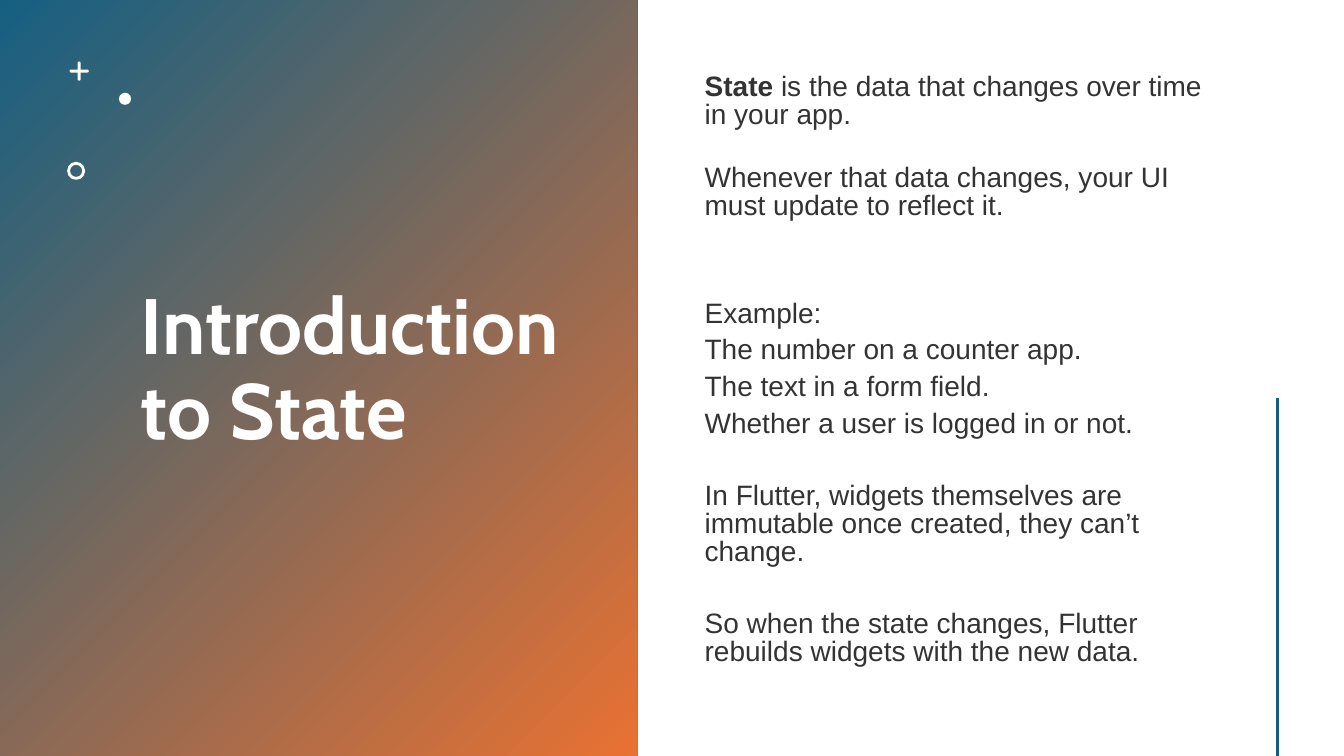
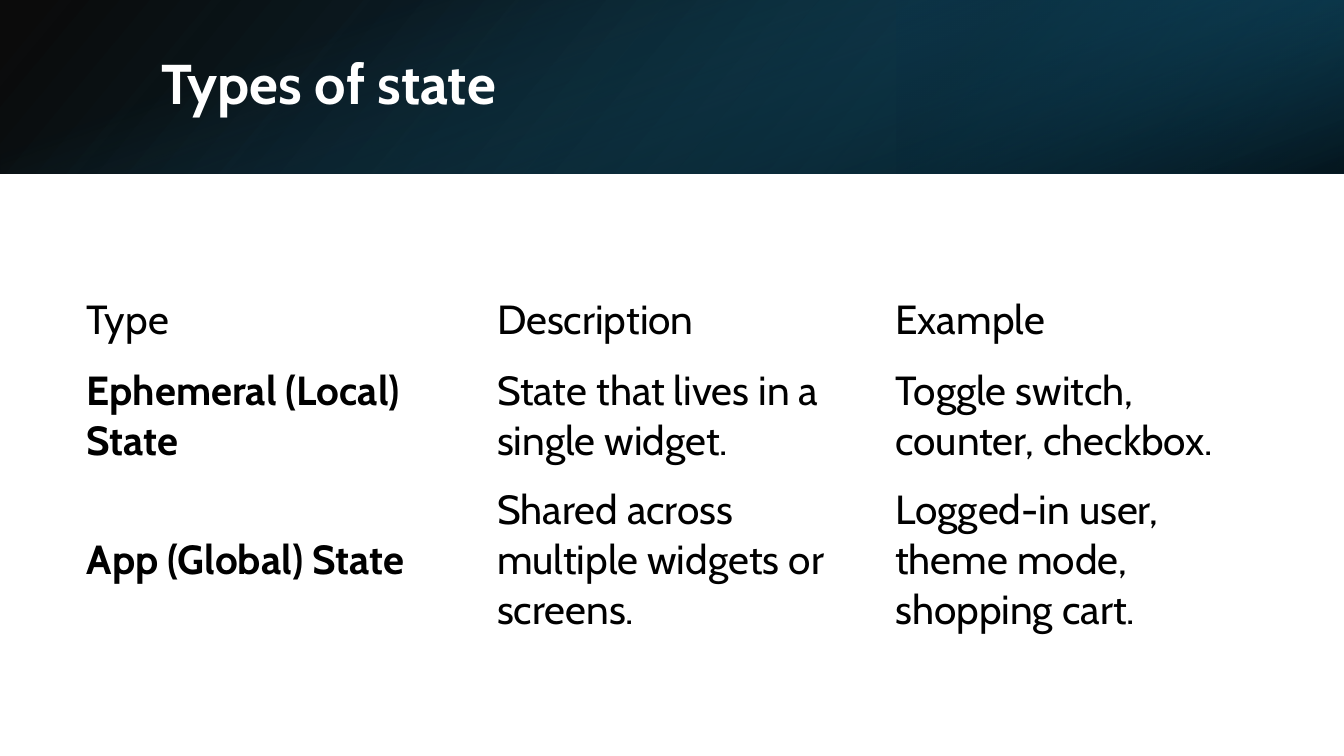
from dataclasses import dataclass

from lxml.etree import SubElement as Sub
from pptx import Presentation
from pptx.dml.color import RGBColor as Rgb
from pptx.enum.shapes import MSO_CONNECTOR as Link, MSO_SHAPE as Kind
from pptx.enum.text import MSO_ANCHOR as Anchor
from pptx.oxml.ns import qn
from pptx.util import Inches, Pt


@dataclass(frozen=True)
class Theme:
    """Colours, fonts and type sizes of the deck."""
    blue: str = "156082"
    orange: str = "E97132"
    deep: str = "104862"
    night: str = "0B3041"
    black: str = "000000"
    white: str = "FFFFFF"
    ink: str = "333333"
    head: str = "Cabin"
    text: str = "Arial"
    big: float = 56
    title: float = 40
    cell: float = 29
    body: float = 20


T = Theme()

POINTS = [
    (0, "State", " is the data that changes over time in your app."),
    (19, "", "Whenever that data changes, your UI must update to reflect it."),
    (50.6, "", "Example:"),
    (0, "", "The number on a counter app."),
    (0, "", "The text in a form field."),
    (0, "", "Whether a user is logged in or not."),
    (25.3, "", "In Flutter, widgets themselves are immutable once created, "
               "they can’t change."),
    (25.3, "", "So when the state changes, Flutter rebuilds widgets with "
               "the new data."),
]

ROWS = [
    ("Type", "Description", "Example"),
    ("Ephemeral (Local) State", "State that lives in a single widget.",
     "Toggle switch, counter, checkbox."),
    ("App (Global) State", "Shared across multiple widgets or screens.",
     "Logged-in user, theme mode, shopping cart."),
]


def tint(hue):
    """Turn a hex string into a colour."""
    return Rgb.from_string(hue)


def style(para, face, size, hue, bold=None):
    """Set the font of a paragraph."""
    font = para.font
    font.name, font.size, font.bold = face, Pt(size), bold
    font.color.rgb = tint(hue)


def shape(slide, kind, box, fill=None, line=None):
    """Add a preset shape with a plain fill or a plain outline."""
    item = slide.shapes.add_shape(kind, *map(Inches, box))
    item.shadow.inherit = False
    if fill:
        item.fill.solid()
        item.fill.fore_color.rgb = tint(fill)
    else:
        item.fill.background()
    if line:
        item.line.color.rgb = tint(line)
        item.line.width = Pt(2)
    else:
        item.line.fill.background()
    return item


def panel(slide, box, stops, angle, turn=0, flip=False):
    """Add a gradient panel from (position, colour, opacity) stops."""
    item = shape(slide, Kind.RECTANGLE, box)
    item.rotation = turn
    props = item.element.spPr
    if flip:
        props.find(qn("a:xfrm")).set("flipH", "1")
    grad = Sub(props, qn("a:gradFill"), rotWithShape="1")
    props.replace(props.find(qn("a:noFill")), grad)
    list_ = Sub(grad, qn("a:gsLst"))
    for pos, hue, alpha in stops:
        stop = Sub(list_, qn("a:gs"), pos=str(pos * 1000))
        color = Sub(stop, qn("a:srgbClr"), val=hue)
        if alpha < 100:
            Sub(color, qn("a:alpha"), val=str(alpha * 1000))
    Sub(grad, qn("a:lin"), ang=str(angle * 60000), scaled="0")


def frame(slide, box, anchor):
    """Add a wrapping text box and return its text frame."""
    text = slide.shapes.add_textbox(*map(Inches, box)).text_frame
    text.word_wrap = True
    text.vertical_anchor = anchor
    return text


def title(slide, words, box, size):
    """Add a slide title."""
    para = frame(slide, box, Anchor.MIDDLE).paragraphs[0]
    para.text = words
    para.line_spacing = 0.9
    style(para, T.head, size, T.white, True)


def body(slide, box, points):
    """Add paragraphs of (space before, bold lead, text)."""
    text = frame(slide, box, Anchor.TOP)
    for i, (gap, lead, words) in enumerate(points):
        para = text.add_paragraph() if i else text.paragraphs[0]
        para.line_spacing = 0.84
        para.space_after = Pt(6)
        if gap:
            para.space_before = Pt(gap)
        style(para, T.text, T.body, T.ink)
        if lead:
            run = para.add_run()
            run.text = lead
            run.font.bold = True
        para.add_run().text = words


def marks(slide):
    """Add the plus, dot and ring."""
    for box in ((0.69, 0.69, 0.19, 0.03), (0.77, 0.61, 0.03, 0.19)):
        bar = shape(slide, Kind.ROUNDED_RECTANGLE, box, T.white)
        bar.adjustments[0] = 0.5
    shape(slide, Kind.OVAL, (1.18, 0.92, 0.12, 0.12), T.white)
    shape(slide, Kind.OVAL, (0.68, 1.62, 0.15, 0.15), line=T.white)


def rule(slide, x, top, end):
    """Add a vertical line."""
    line = slide.shapes.add_connector(
        Link.STRAIGHT, *map(Inches, (x, top, x, end)))
    line.line.color.rgb = tint(T.blue)
    line.line.width = Pt(2)
    Sub(line.element.spPr, qn("a:effectLst"))


def table(slide, box, cols, highs, rows):
    """Add a plain table with bold row names."""
    grid = slide.shapes.add_table(
        len(rows), len(cols), *map(Inches, box)).table
    grid.first_row = grid.horz_banding = False
    for col, wide in zip(grid.columns, cols):
        col.width = Inches(wide)
    for r, (high, row) in enumerate(zip(highs, rows)):
        grid.rows[r].height = Inches(high)
        for c, words in enumerate(row):
            cell = grid.cell(r, c)
            cell.fill.background()
            cell.vertical_anchor = Anchor.MIDDLE
            cell.margin_left = cell.margin_right = Inches(0.16)
            cell.margin_top = cell.margin_bottom = Inches(0.08)
            cell.text = words
            style(cell.text_frame.paragraphs[0], T.head, T.cell, T.black,
                  r > 0 and c == 0)


def intro(slide):
    """Build the introduction slide."""
    panel(slide, (0, 0, 6.32, 7.5),
          [(0, T.blue, 100), (100, T.orange, 100)], 45)
    title(slide, "Introduction to State", (1.3, 0.42, 4.38, 6.53), T.big)
    marks(slide)
    body(slide, (6.89, 0.68, 5.22, 6), POINTS)
    rule(slide, 12.67, 3.95, 7.5)


def types(slide):
    """Build the slide that compares types of state."""
    wide, high = 13.33, 1.72
    shift = (wide - high) / 2
    panel(slide, (0, 0, wide, high),
          [(0, T.black, 96), (100, T.deep, 100)], 140, flip=True)
    panel(slide, (8.89, 0, 4.44, high),
          [(19, T.night, 68), (100, T.blue, 79)], 320, 180, True)
    panel(slide, (shift, -shift, high, wide),
          [(23, T.blue, 0), (99, T.black, 74)], 340, 90)
    title(slide, "Types of state", (1.5, 0.38, 10.98, 0.96), T.title)
    table(slide, (0.7, 2.82, 11.95, 3.57), (4.07, 3.95, 3.93),
          (0.71, 1.19, 1.67), ROWS)


def main():
    """Build and save the deck."""
    deck = Presentation()
    deck.slide_width, deck.slide_height = Inches(13.33), Inches(7.5)
    for build in (intro, types):
        build(deck.slides.add_slide(deck.slide_layouts[6]))
    deck.save("out.pptx")


if __name__ == "__main__":
    main()
